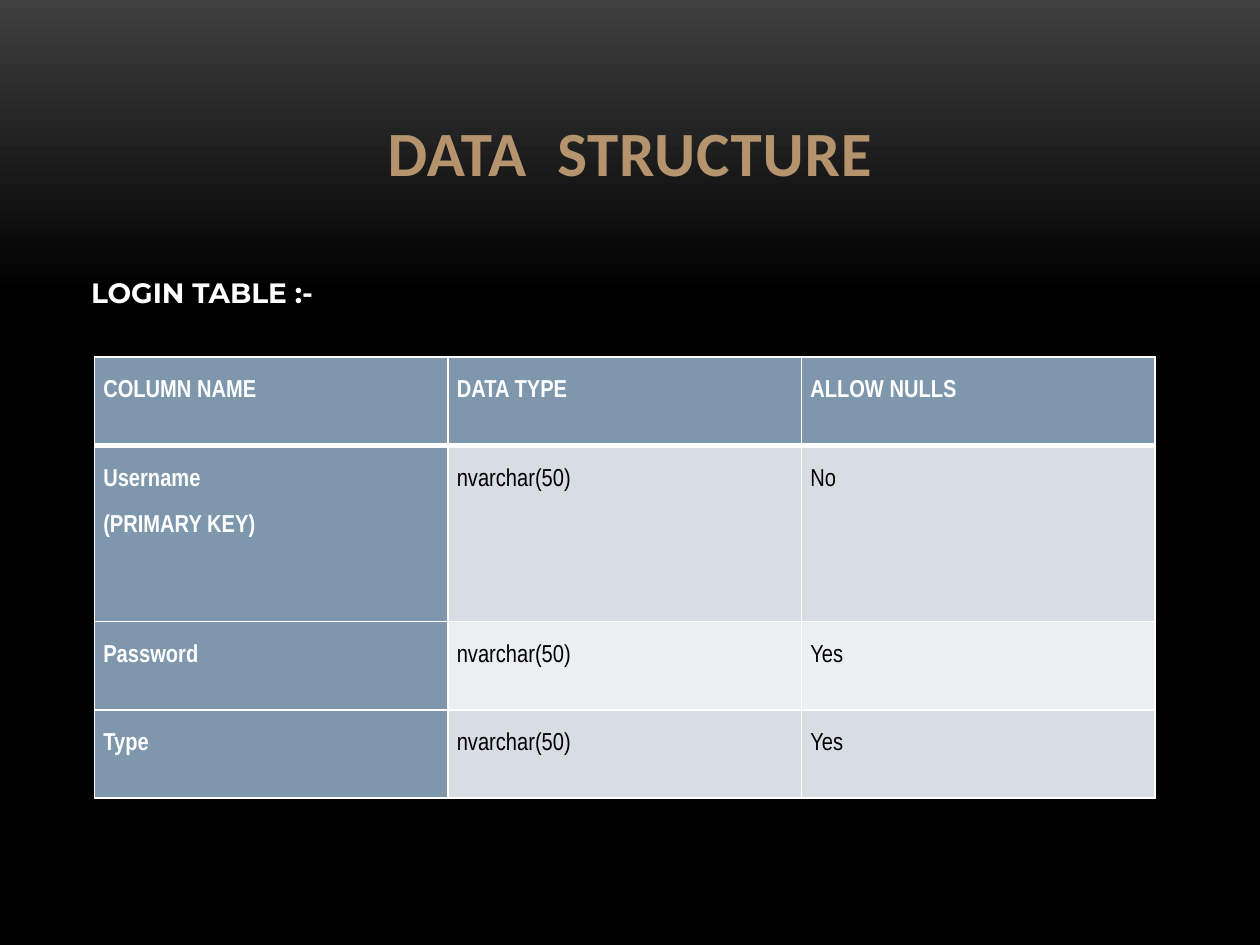
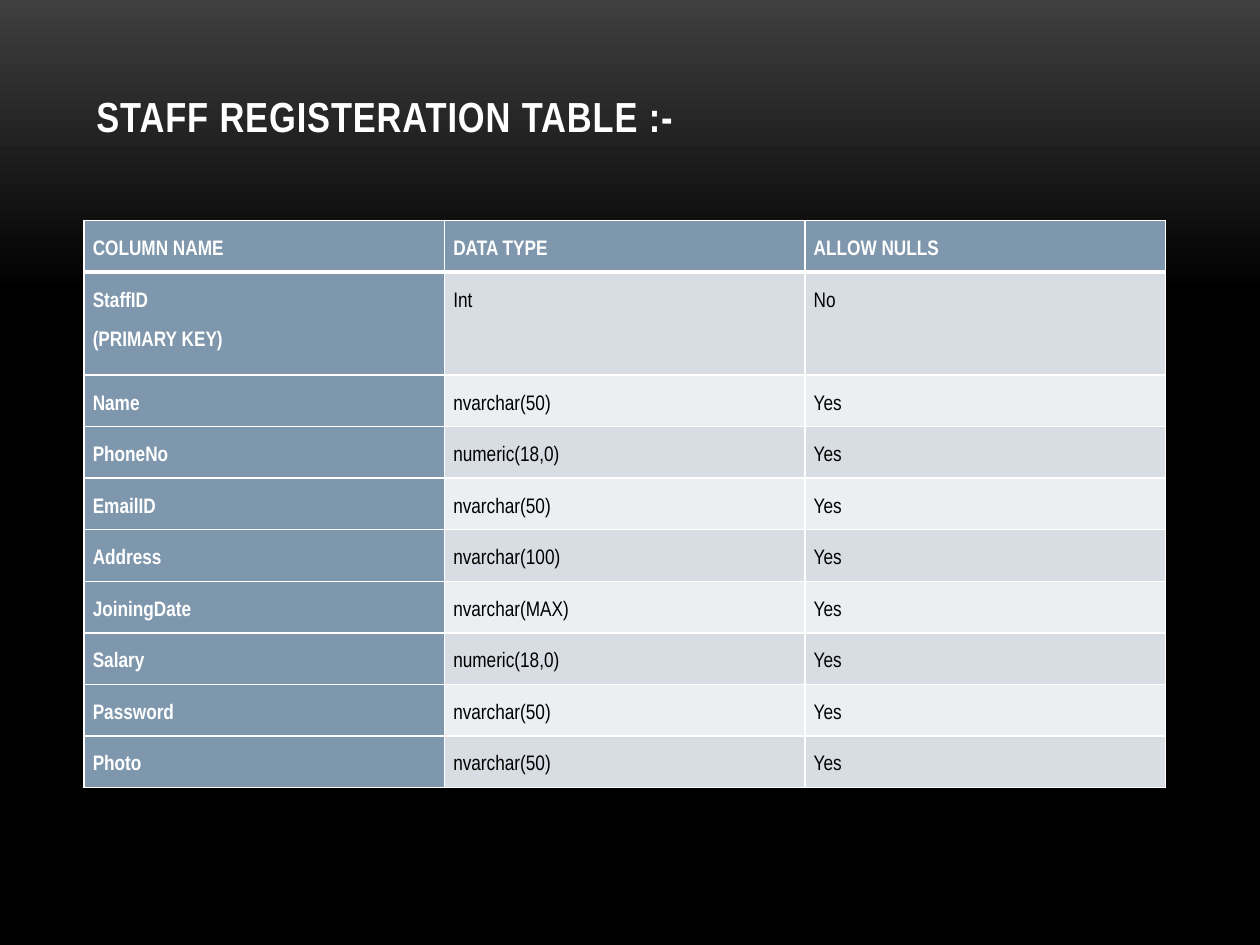
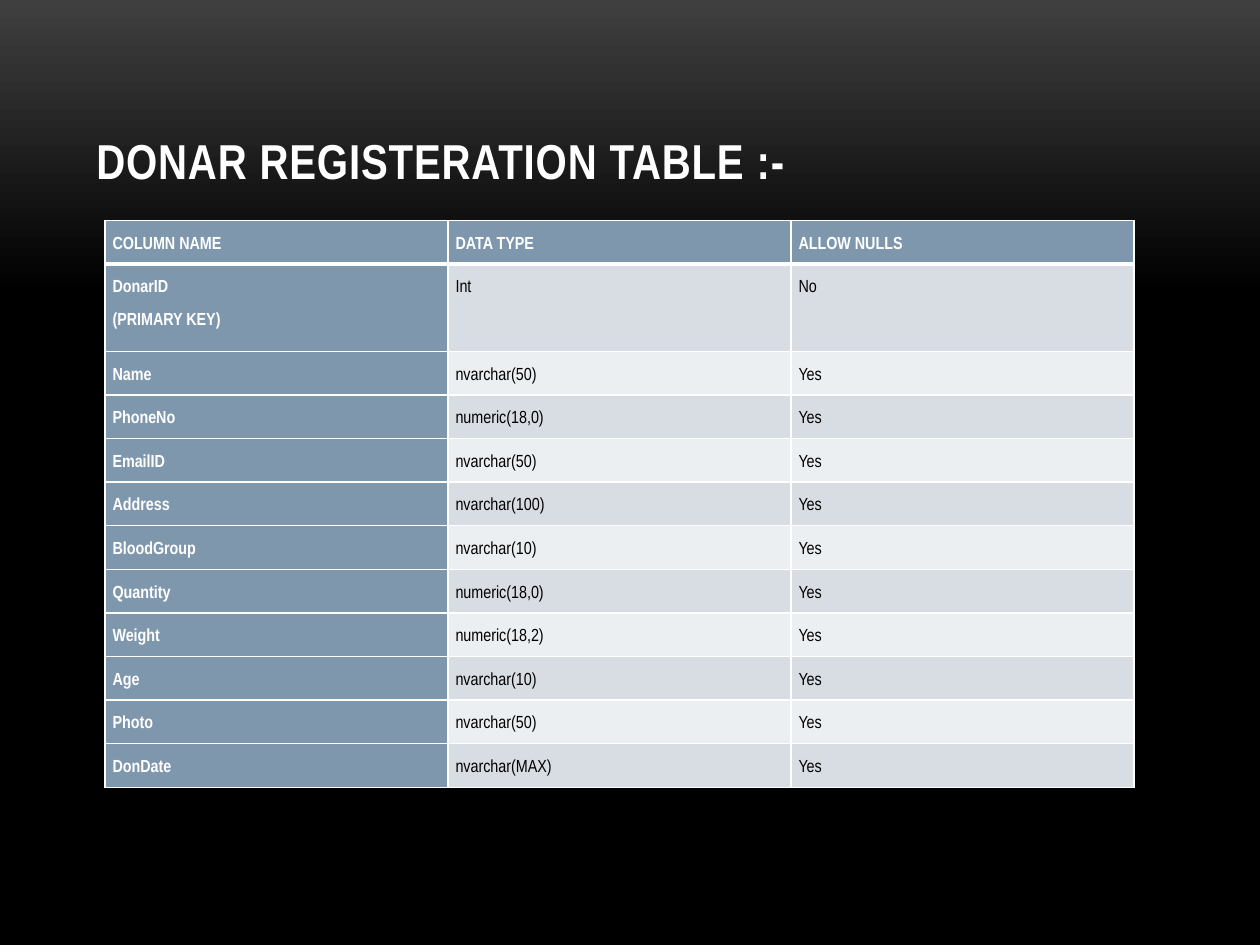
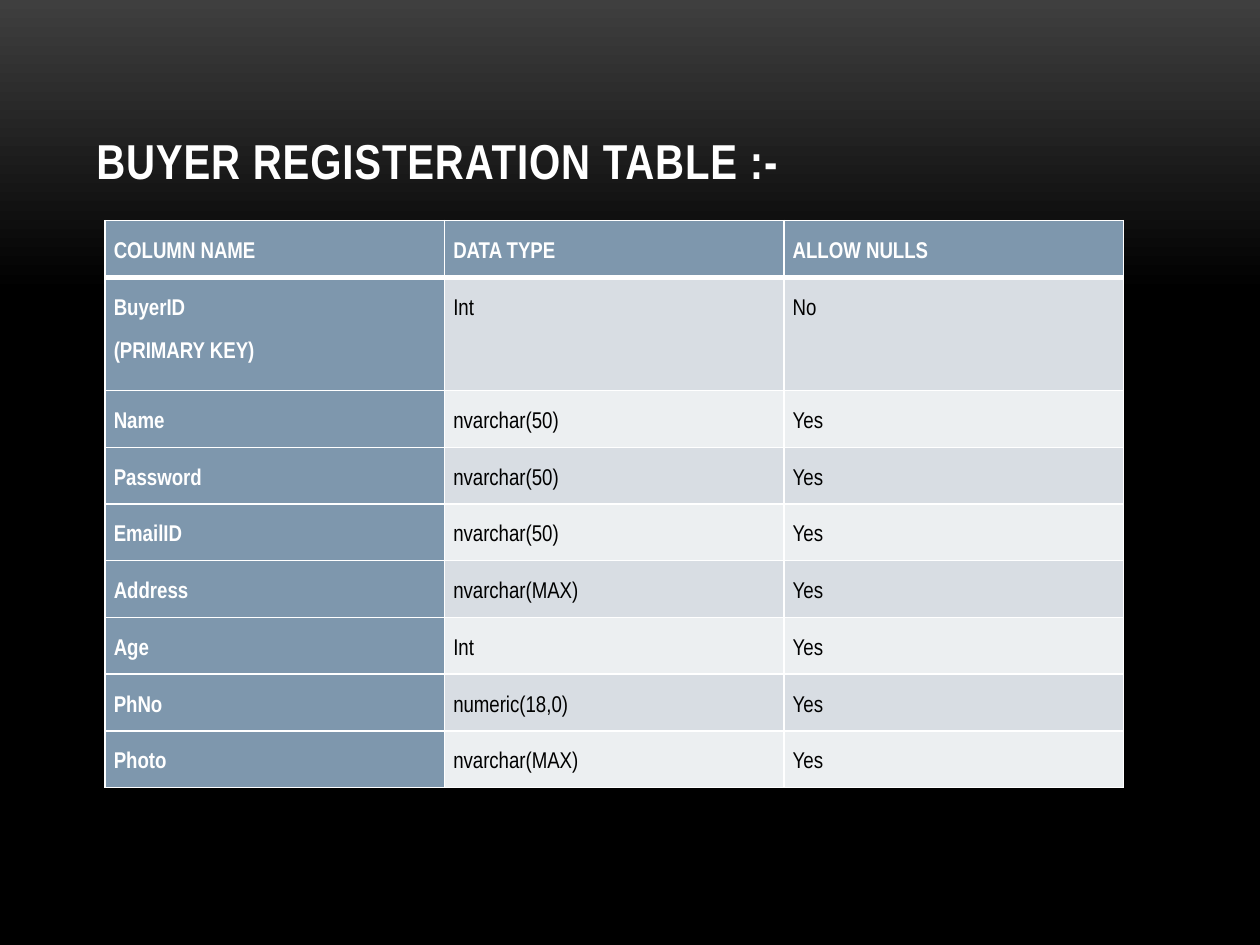
from copy import deepcopy
from lxml.etree import SubElement
from pptx import Presentation
from pptx.dml.color import RGBColor
from pptx.enum.text import MSO_ANCHOR, PP_ALIGN
from pptx.oxml.ns import qn
from pptx.util import Inches, Pt

WHITE, BLACK, GRAY = "FFFFFF", "000000", "3F3F3F"
TAN, STEEL = "B4936D", "7E97AD"
BANDS = ["D8DDE3", "ECEFF1"]
FONT = "Arial Narrow"
HEADS = ["COLUMN NAME", "DATA TYPE", "ALLOW NULLS"]
KEY = "(PRIMARY KEY)"

LOGIN = [("Username", "nvarchar(50)"), ("Password", "nvarchar(50)"),
         ("Type", "nvarchar(50)")]
STAFF = [("StaffID", "Int"), ("Name", "nvarchar(50)"),
         ("PhoneNo", "numeric(18,0)"), ("EmailID", "nvarchar(50)"),
         ("Address", "nvarchar(100)"), ("JoiningDate", "nvarchar(MAX)"),
         ("Salary", "numeric(18,0)"), ("Password", "nvarchar(50)"),
         ("Photo", "nvarchar(50)")]
DONAR = [("DonarID", "Int"), ("Name", "nvarchar(50)"),
         ("PhoneNo", "numeric(18,0)"), ("EmailID", "nvarchar(50)"),
         ("Address", "nvarchar(100)"), ("BloodGroup", "nvarchar(10)"),
         ("Quantity", "numeric(18,0)"), ("Weight", "numeric(18,2)"),
         ("Age", "nvarchar(10)"), ("Photo", "nvarchar(50)"),
         ("DonDate", "nvarchar(MAX)")]
BUYER = [("BuyerID", "Int"), ("Name", "nvarchar(50)"),
         ("Password", "nvarchar(50)"), ("EmailID", "nvarchar(50)"),
         ("Address", "nvarchar(MAX)"), ("Age", "Int"),
         ("PhNo", "numeric(18,0)"), ("Photo", "nvarchar(MAX)")]


def grid(n):
    return round(Inches(n / 12))


def color(code):
    return RGBColor.from_string(code)


def style(para, size, code, bold=True, font=FONT):
    for run in para.runs:
        run.font.name = font
        run.font.size = Pt(size)
        run.font.bold = bold
        run.font.color.rgb = color(code)


def paint(master):
    fill = master.background.fill
    fill.gradient()
    fill.gradient_angle = 270
    for stop, code, pos in zip(fill.gradient_stops, [GRAY, BLACK], [0, 0.31]):
        stop.color.rgb = color(code)
        stop.position = pos
    last = list(master.element.cSld.iter(qn("a:gs")))[-1]
    end = deepcopy(last)
    end.set("pos", "100000")
    last.addnext(end)


def label(slide, text, box, size, code=WHITE, font=FONT):
    frame = slide.shapes.add_textbox(*map(grid, box)).text_frame
    frame.word_wrap = True
    frame.text = text
    style(frame.paragraphs[0], size, code, font=font)
    return frame


def title(slide, text, size, code=WHITE, font=FONT, lift=0):
    frame = label(slide, text, (8, 3.6, 104, 15), size, code, font)
    frame.vertical_anchor = MSO_ANCHOR.BOTTOM
    frame.margin_bottom = Inches(0.05 + lift)
    for run in frame.paragraphs[0].runs:
        run.font._element.set("spc", "50")
    return frame


def edge(cell, side, width):
    line = SubElement(cell._tc.get_or_add_tcPr(), qn("a:ln" + side),
                      w=str(Pt(width)))
    fill = SubElement(line, qn("a:solidFill"))
    SubElement(fill, qn("a:srgbClr"), val=WHITE)


def fill_cell(cell, text, row, col, size, inset):
    thick = {"B": 0, "T": 1}
    for side in "LRTB":
        edge(cell, side, 3 if thick.get(side) == row else 1)
    dark = row == 0 or col == 0
    cell.fill.solid()
    cell.fill.fore_color.rgb = color(STEEL if dark else BANDS[(row + 1) % 2])
    cell.margin_left = cell.margin_right = Inches(inset)
    cell.margin_top = cell.margin_bottom = 0
    cell.text_frame.text = text
    for para in cell.text_frame.paragraphs:
        para.alignment = PP_ALIGN.JUSTIFY
        para.line_spacing = 2.0
        style(para, size, WHITE if dark else BLACK, dark)


def schema(slide, fields, box, size, inset=0.07):
    rows = [HEADS] + [(name, kind, "Yes") for name, kind in fields]
    rows[1] = (f"{fields[0][0]}\n{KEY}", fields[0][1], "No")
    left, top, width, height = map(grid, box)
    table = slide.shapes.add_table(len(rows), len(HEADS), left, top,
                                   width, height).table
    for col in table.columns:
        col.width = width // len(HEADS)
    unit = height // (len(rows) + 1)
    for r, texts in enumerate(rows):
        table.rows[r].height = unit * (2 if r == 1 else 1)
        for c, text in enumerate(texts):
            fill_cell(table.cell(r, c), text, r, c, size, inset)


def main():
    deck = Presentation()
    deck.slide_width, deck.slide_height = grid(120), grid(90)
    paint(deck.slide_master)
    login, staff, donar, buyer = [
        deck.slides.add_slide(deck.slide_layouts[6]) for _ in range(4)]

    head = title(login, "DATA  STRUCTURE", 36, TAN, "Calibri")
    head.paragraphs[0].alignment = PP_ALIGN.CENTER
    schema(login, LOGIN, (9, 34, 101, 42), 14)
    note = label(login, "LOGIN TABLE :-", (7.5, 26.25, 112, 6), 16,
                 font="Montserrat")
    note.margin_top = 0

    title(staff, "STAFF REGISTERATION TABLE :-", 24, lift=0.38)
    schema(staff, STAFF, (8, 21, 103, 54), 12)

    title(donar, "DONAR REGISTERATION TABLE :-", 28)
    schema(donar, DONAR, (10, 21, 98, 54), 10, 0.06)

    title(buyer, "BUYER REGISTERATION TABLE :-", 28)
    schema(buyer, BUYER, (10, 21, 97, 54), 13)

    deck.save("out.pptx")


if __name__ == "__main__":
    main()
